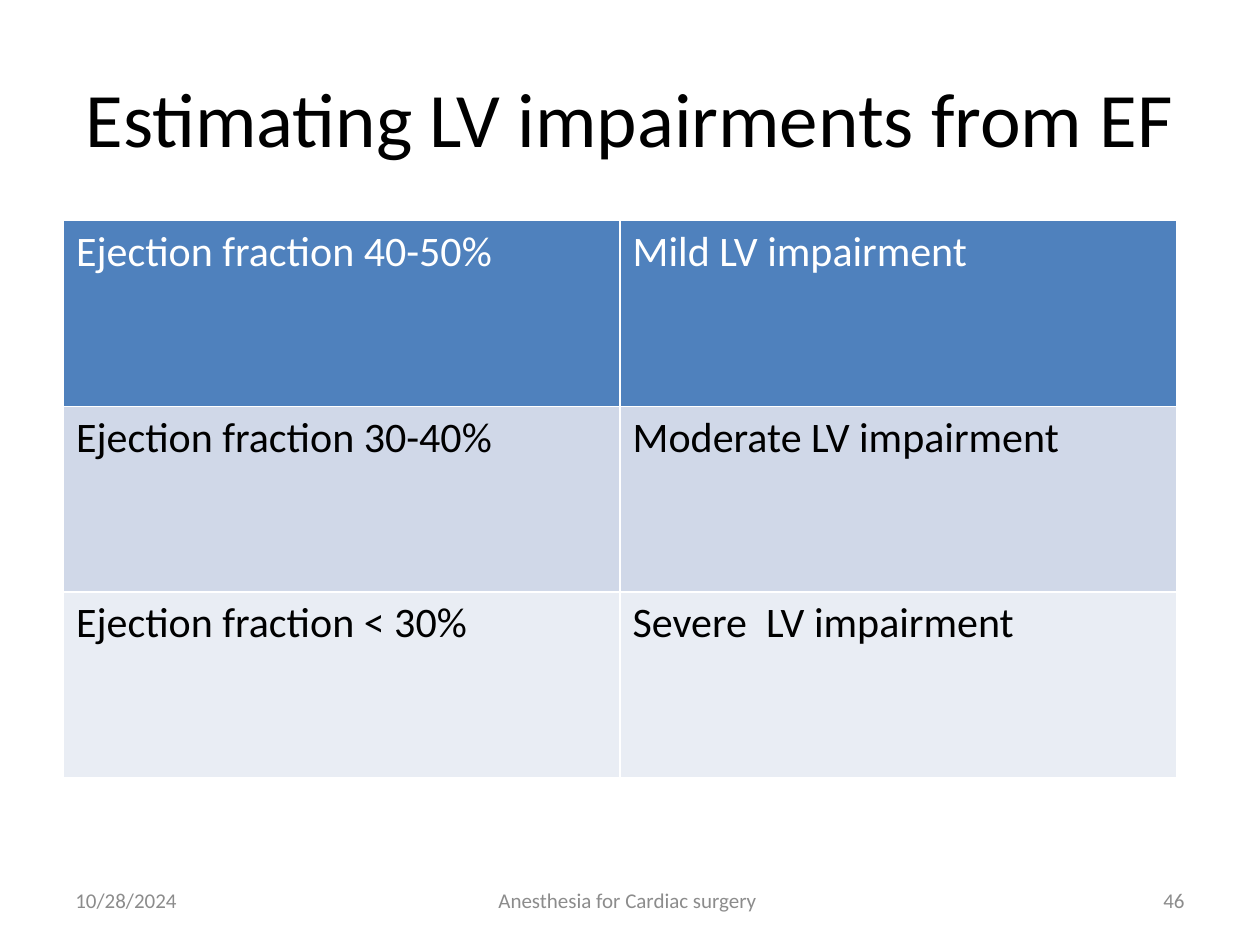
import pptx
import pptx.dml.color
import pptx.enum.text
import pptx.util
from pptx.util import Cm

ALIGN = pptx.enum.text.PP_ALIGN
MIDDLE = pptx.enum.text.MSO_ANCHOR.MIDDLE
BLACK, WHITE, GREY = "000000", "FFFFFF", "8C8C8C"

# Fill and text colour of each table row
ROW_COLOURS = [("4F81BD", WHITE), ("D0D8E8", BLACK), ("E9EDF4", BLACK)]
IMPAIRMENTS = [
    ("Ejection fraction 40-50%", "Mild LV impairment"),
    ("Ejection fraction 30-40%", "Moderate LV impairment"),
    ("Ejection fraction < 30%", "Severe  LV impairment"),
]


def colour(value):
    return pptx.dml.color.RGBColor.from_string(value)


def write(frame, text, size, text_colour, align=ALIGN.LEFT):
    para = frame.paragraphs[0]
    para.alignment = align
    span = para.add_run()
    span.text = text
    span.font.name = "Calibri"
    span.font.size = pptx.util.Pt(size)
    span.font.bold = False
    span.font.color.rgb = colour(text_colour)


def set_title(page, text):
    title = page.shapes.title
    title.left, title.top, title.width, title.height = Cm(1.27), Cm(0.76), Cm(22.86), Cm(3.18)
    title.text_frame.vertical_anchor = MIDDLE
    write(title.text_frame, text, 44, BLACK, ALIGN.CENTER)


def add_impairment_table(page):
    """Add the table; its default style draws the white rules between cells."""
    frame = page.shapes.add_table(len(IMPAIRMENTS), 2, Cm(1.28), Cm(4.45), Cm(22.44), Cm(11.22))
    for row, texts, (fill, text_colour) in zip(frame.table.rows, IMPAIRMENTS, ROW_COLOURS):
        for cell, text in zip(row.cells, texts):
            cell.fill.solid()
            cell.fill.fore_color.rgb = colour(fill)
            write(cell.text_frame, text, 24, text_colour)


def add_footer(page, text, left, width, align):
    box = page.shapes.add_textbox(Cm(left), Cm(17.65), Cm(width), Cm(1.01))
    box.text_frame.word_wrap = True
    box.text_frame.vertical_anchor = MIDDLE
    write(box.text_frame, text, 12, GREY, align)


def main():
    deck = pptx.Presentation()
    deck.slide_width, deck.slide_height = Cm(25.4), Cm(19.05)
    page = deck.slides.add_slide(deck.slide_layouts.get_by_name("Title Only"))
    set_title(page, "Estimating LV impairments from EF")
    add_impairment_table(page)
    add_footer(page, "46", 18.2, 5.93, ALIGN.RIGHT)
    add_footer(page, "10/28/2024", 1.27, 5.93, ALIGN.LEFT)
    add_footer(page, "Anesthesia for Cardiac surgery ", 8.68, 8.04, ALIGN.CENTER)
    deck.save("out.pptx")


if __name__ == "__main__":
    main()
